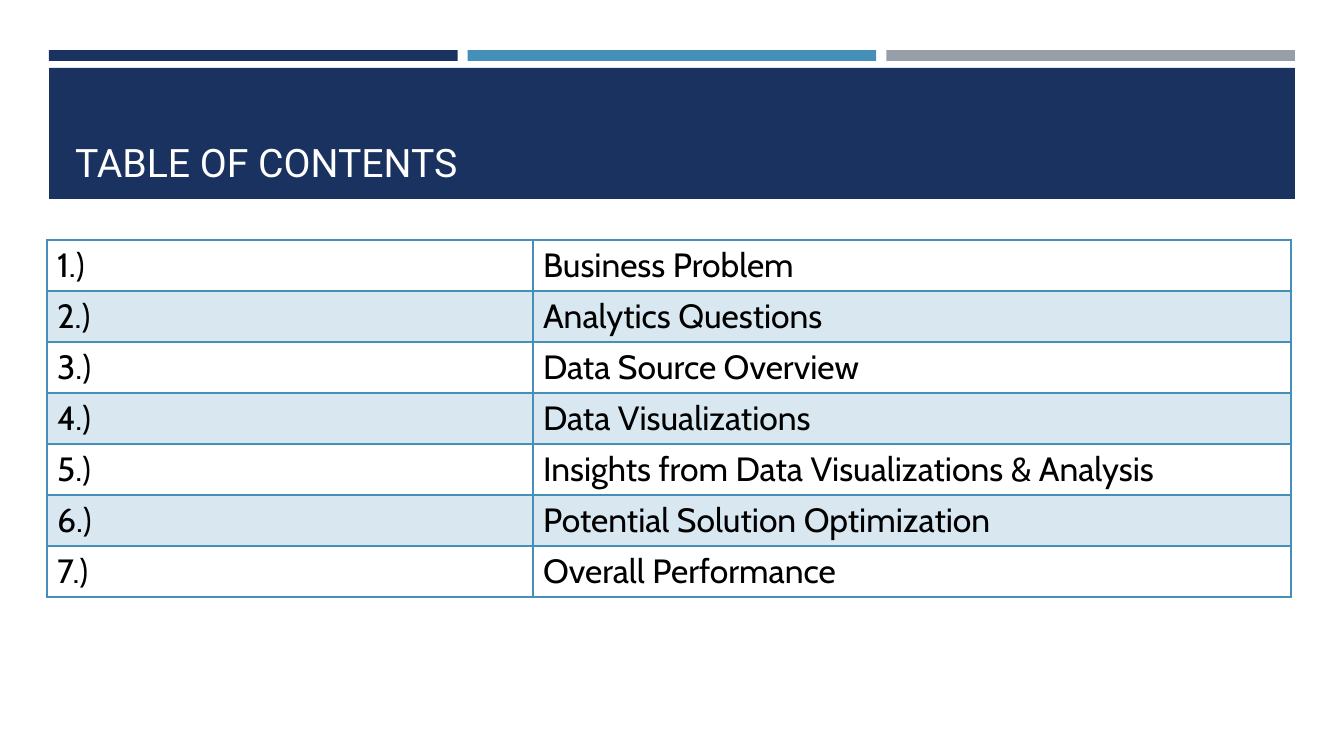
"""Build a table of contents slide with a banner and a banded table."""
from dataclasses import dataclass

from lxml import etree
from pptx import Presentation
from pptx import util as u
from pptx.dml.color import RGBColor
from pptx.enum import shapes, text
from pptx.oxml.ns import qn

TITLE = "TABLE OF CONTENTS"
TOPICS = [
    "Business Problem",
    "Analytics Questions",
    "Data Source Overview",
    "Data Visualizations",
    "Insights from Data Visualizations & Analysis",
    "Potential Solution Optimization",
    "Overall Performance",
]


@dataclass(frozen=True)
class Theme:
    navy: str = "1A3260"
    blue: str = "4590B8"
    gray: str = "969FA7"
    white: str = "FFFFFF"
    black: str = "000000"
    title_font: str = "Roboto"
    body_font: str = "Cabin"
    title_size: int = 28
    body_size: int = 24
    band_alpha: int = 20


THEME = Theme()
PX_PER_INCH = 100.8
BANNER = (49, 68, 1246, 131)
TITLE_BOX = (65, 78, 1216, 112)
STRIPE_TOP, STRIPE_HEIGHT, STRIPE_GAP = 50, 11, 10
TABLE_LEFT, TABLE_TOP, ROW_HEIGHT = 47, 240, 51
COLUMN_WIDTHS = (486, 758)


def px(length):
    return u.Emu(round(length * u.Inches(1) / PX_PER_INCH))


def add_block(slide, color, *box):
    block = slide.shapes.add_shape(shapes.MSO_SHAPE.RECTANGLE, *map(px, box))
    block.shadow.inherit = False
    block.fill.solid()
    block.fill.fore_color.rgb = RGBColor.from_string(color)
    block.line.fill.background()


def write(frame, words, font, size, color):
    frame.text = words
    for span in frame.paragraphs[0].runs:
        span.font.name = font
        span.font.size = u.Pt(size)
        span.font.color.rgb = RGBColor.from_string(color)


def add_banner(slide):
    left, top, width, height = BANNER
    colors = (THEME.navy, THEME.blue, THEME.gray)
    stripe = (width - STRIPE_GAP * (len(colors) - 1)) / len(colors)
    for index, color in enumerate(colors):
        add_block(slide, color, left + index * (stripe + STRIPE_GAP),
                  STRIPE_TOP, stripe, STRIPE_HEIGHT)
    add_block(slide, THEME.navy, left, top, width, height)


def add_title(slide):
    title = slide.shapes.title
    title.left, title.top, title.width, title.height = map(px, TITLE_BOX)
    frame = title.text_frame
    write(frame, TITLE, THEME.title_font, THEME.title_size, THEME.white)
    frame.auto_size = text.MSO_AUTO_SIZE.NONE
    frame.vertical_anchor = text.MSO_ANCHOR.BOTTOM
    frame.paragraphs[0].alignment = text.PP_ALIGN.LEFT
    title.element.getparent().append(title.element)


def set_borders(cell, bottom_points):
    properties = cell._tc.get_or_add_tcPr()
    for side, points in (("L", 1), ("R", 1), ("T", 1), ("B", bottom_points)):
        line = etree.SubElement(properties, qn(f"a:ln{side}"), w=str(u.Pt(points)))
        fill = etree.SubElement(line, qn("a:solidFill"))
        etree.SubElement(fill, qn("a:srgbClr"), val=THEME.blue)


def set_band(cell, banded):
    if not banded:
        cell.fill.background()
        return
    cell.fill.solid()
    cell.fill.fore_color.rgb = RGBColor.from_string(THEME.blue)
    color = cell._tc.tcPr.find(f"{qn('a:solidFill')}/{qn('a:srgbClr')}")
    etree.SubElement(color, qn("a:alpha"), val=str(THEME.band_alpha * 1000))


def add_contents(slide):
    table = slide.shapes.add_table(
        len(TOPICS), len(COLUMN_WIDTHS), px(TABLE_LEFT), px(TABLE_TOP),
        px(sum(COLUMN_WIDTHS)), px(ROW_HEIGHT * len(TOPICS))).table
    table.first_row = table.horz_banding = False
    for column, width in zip(table.columns, COLUMN_WIDTHS):
        column.width = px(width)
    for index, topic in enumerate(TOPICS):
        table.rows[index].height = px(ROW_HEIGHT)
        for cell, words in zip(table.rows[index].cells, (f"{index + 1}.)", topic)):
            write(cell.text_frame, words, THEME.body_font, THEME.body_size, THEME.black)
            set_borders(cell, 2 if index == 0 else 1)
            set_band(cell, index % 2 == 1)


def main():
    deck = Presentation()
    deck.slide_width, deck.slide_height = px(1344), px(756)
    page = deck.slides.add_slide(deck.slide_layouts[5])
    add_banner(page)
    add_title(page)
    add_contents(page)
    deck.save("out.pptx")


if __name__ == "__main__":
    main()
